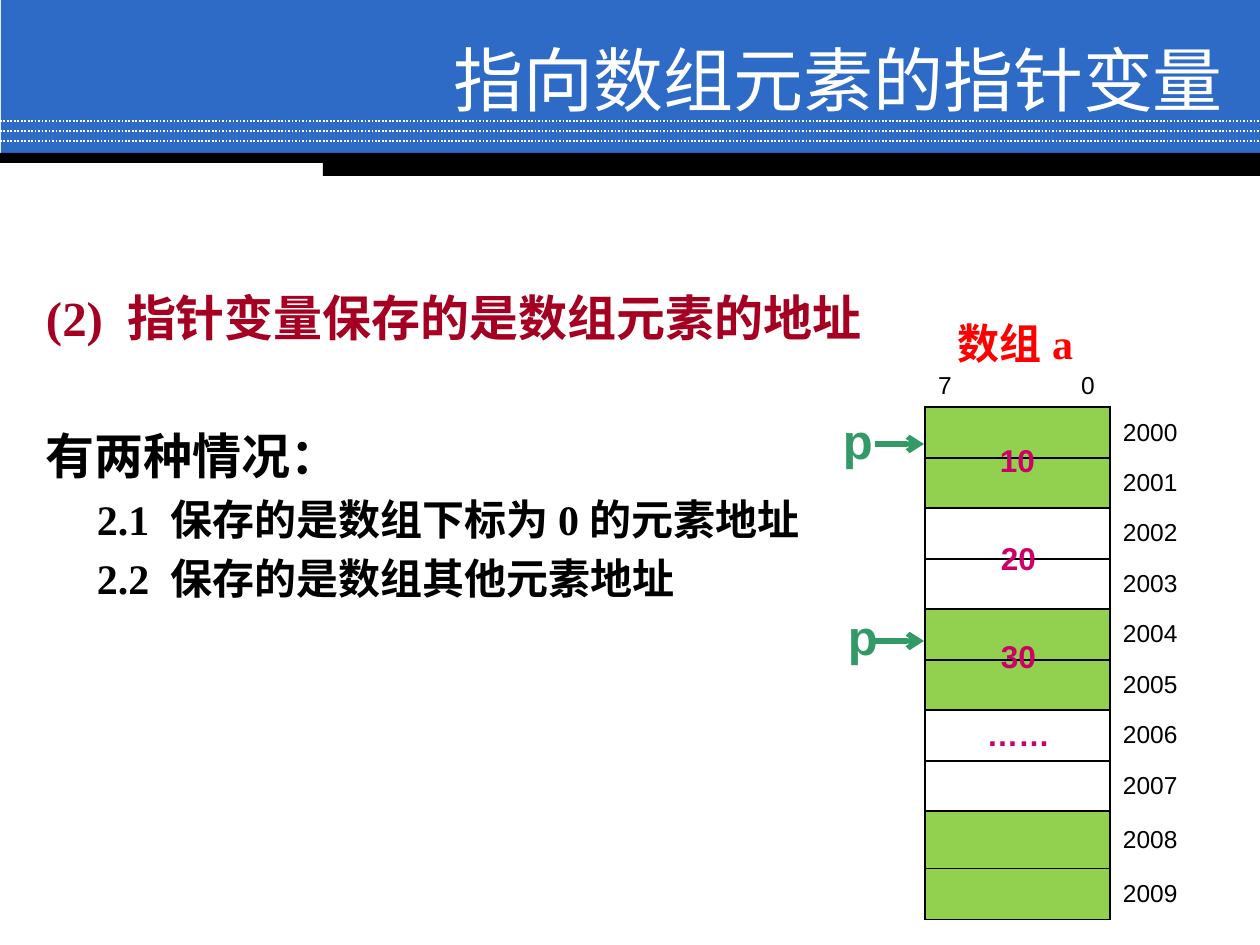
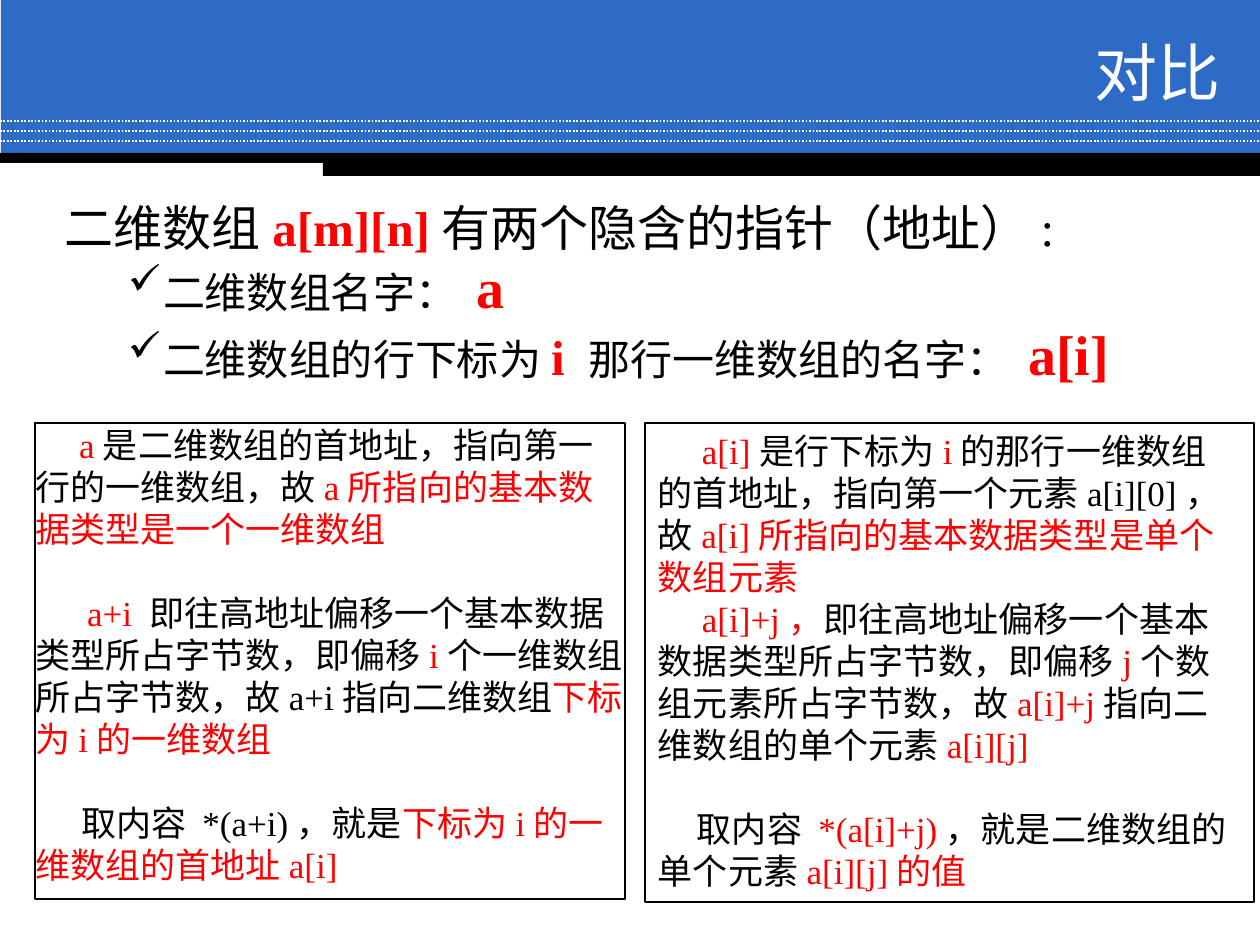
from lxml.etree import SubElement
from pptx import Presentation
from pptx.dml.color import RGBColor
from pptx.enum.dml import MSO_LINE
from pptx.enum.shapes import MSO_CONNECTOR, MSO_SHAPE
from pptx.enum.text import MSO_ANCHOR, MSO_AUTO_SIZE, PP_ALIGN
from pptx.oxml.ns import qn
from pptx.util import Emu, Pt

BLUE = RGBColor(0x2D, 0x6B, 0xC7)
BLACK = RGBColor(0, 0, 0)
WHITE = RGBColor(0xFF, 0xFF, 0xFF)
RED = RGBColor(0xFF, 0, 0)
CRIMSON = RGBColor(0xA5, 0, 0x21)
MAGENTA = RGBColor(0xCC, 0, 0x66)
GREEN = RGBColor(0x33, 0x99, 0x66)
LIME = RGBColor(0x92, 0xD0, 0x50)

SANS, SERIF, CJK = "Arial", "Times New Roman", "Noto Sans CJK SC"
PX_PER_INCH = 126
INSET = (13, 6, 13, 6)
LEADING = 1.2


def px(n):
    """Turn pixels into EMU."""
    return Emu(round(n * 914400 / PX_PER_INCH))


def place(sp, box):
    """Move a shape to a pixel box."""
    sp.left, sp.top, sp.width, sp.height = map(px, box)


def add_run(p, text, size=20, color=BLACK, bold=False, font=SERIF):
    """Add a formatted run to a paragraph."""
    r = p.add_run()
    r.text = text
    f = r.font
    f.size, f.bold, f.name = Pt(size), bold, font
    f.color.rgb = color
    SubElement(r._r.get_or_add_rPr(), qn("a:ea")).set("typeface", CJK)
    return r


def set_para(p, left=0, indent=0, line=None, before=0, bullet=None, align=PP_ALIGN.LEFT):
    """Set indents in pixels, spacing in points and the bullet."""
    p.alignment = align
    p.space_before = Pt(before)
    if line:
        p.line_spacing = Pt(line)
    pPr = p._p.get_or_add_pPr()
    pPr.set("marL", str(px(left)))
    pPr.set("indent", str(px(indent)))
    if bullet:
        SubElement(pPr, qn("a:buChar")).set("char", bullet)
    else:
        SubElement(pPr, qn("a:buNone"))


def set_frame(sp, inset=INSET, anchor=MSO_ANCHOR.TOP, wrap=True):
    """Prepare the text frame of a shape and return it."""
    tf = sp.text_frame
    tf.word_wrap = wrap
    tf.auto_size = MSO_AUTO_SIZE.NONE
    tf.vertical_anchor = anchor
    tf.margin_left, tf.margin_top, tf.margin_right, tf.margin_bottom = map(px, inset)
    return tf


def paragraphs(tf, count):
    """Return the given number of paragraphs of an empty frame."""
    return [tf.paragraphs[0]] + [tf.add_paragraph() for _ in range(count - 1)]


def add_label(s, box, text, line=None, **fmt):
    """Add a one-line text box."""
    sp = s.shapes.add_textbox(*map(px, box))
    p = set_frame(sp, wrap=False).paragraphs[0]
    set_para(p, line=line)
    add_run(p, text, **fmt)


def add_line(s, x1, y1, x2, y2, color, width):
    """Add a straight line without a shadow."""
    sp = s.shapes.add_connector(MSO_CONNECTOR.STRAIGHT, px(x1), px(y1), px(x2), px(y2))
    sp.line.color.rgb = color
    sp.line.width = Pt(width)
    SubElement(sp.element.spPr, qn("a:effectLst"))
    return sp


def add_band(s, box, color):
    """Add a plain filled rectangle."""
    sp = s.shapes.add_shape(MSO_SHAPE.RECTANGLE, *map(px, box))
    sp.shadow.inherit = False
    sp.fill.solid()
    sp.fill.fore_color.rgb = color
    sp.line.fill.background()
    return sp


def build_header(prs, s):
    """Draw the header bands and move them to the slide master."""
    parts = [add_band(s, (1, 0, 1259, 155), BLUE)]
    for y in (121, 131, 141):
        sp = add_line(s, 0, y, 1260, y, WHITE, 1)
        sp.line.dash_style = MSO_LINE.ROUND_DOT
        parts.append(sp)
    parts.append(add_band(s, (0, 153, 1260, 10), BLACK))
    parts.append(add_band(s, (323, 156, 937, 20), BLACK))
    tree = prs.slide_master.shapes.element
    for i, sp in enumerate(parts):
        sp.element.xpath(".//p:cNvPr")[0].set("id", str(100 + i))
        tree.insert(2 + i, sp.element)


def build_title(s, box, text, size):
    """Fill the title placeholder."""
    sp = s.shapes.title
    place(sp, box)
    p = set_frame(sp, anchor=MSO_ANCHOR.MIDDLE).paragraphs[0]
    set_para(p, align=PP_ALIGN.RIGHT)
    add_run(p, text, size=size, color=WHITE, font=CJK)


def build_cases(sp, box):
    """Fill the body with the cases of a pointer to an element."""
    place(sp, box)
    rows = [
        ("(2) 指针变量保存的是数组元素的地址", 28, CRIMSON, 12, 0),
        ("有两种情况：", 28, BLACK, 12, 45),
        ("2.1 保存的是数组下标为0的元素地址", 24, BLACK, 63, 5),
        ("2.2 保存的是数组其他元素地址", 24, BLACK, 63, 5),
    ]
    ps = paragraphs(set_frame(sp), len(rows))
    for p, (text, size, color, left, before) in zip(ps, rows):
        set_para(p, left=left, line=size * LEADING, before=before)
        add_run(p, text, size=size, color=color, bold=True)


def set_borders(cell, sides):
    """Draw the given sides (of LRTB) in black and hide the others."""
    tcPr = cell._tc.get_or_add_tcPr()
    for i, side in enumerate("LRTB"):
        ln = tcPr.makeelement(qn("a:ln" + side), {"w": str(Pt(1))})
        if side in sides:
            fill = SubElement(ln, qn("a:solidFill"))
            SubElement(fill, qn("a:srgbClr")).set("val", str(BLACK))
        else:
            SubElement(ln, qn("a:noFill"))
        tcPr.insert(i, ln)


def set_cell(cell, text, sides, fill=None):
    """Format one memory cell."""
    cell.vertical_anchor = MSO_ANCHOR.MIDDLE
    cell.margin_left = cell.margin_right = px(13)
    cell.margin_top = cell.margin_bottom = 0
    if fill:
        cell.fill.solid()
        cell.fill.fore_color.rgb = fill
    else:
        cell.fill.background()
    set_borders(cell, sides)
    if text:
        add_run(cell.text_frame.paragraphs[0], text, size=14, font=SANS)


def build_memory(s, x, y):
    """Draw the memory table of array a with its values and pointers."""
    heights = [42] + [51, 50] * 4 + [58, 51]
    tbl = s.shapes.add_table(len(heights), 2, px(x), px(y), px(335), px(sum(heights))).table
    tbl.first_row = tbl.horz_banding = False
    tbl.columns[0].width, tbl.columns[1].width = px(185), px(150)
    for row, height in zip(tbl.rows, heights):
        row.height = px(height)

    set_cell(tbl.cell(0, 0), "7\t0", "B")
    set_cell(tbl.cell(0, 1), "", "")
    pPr = tbl.cell(0, 0).text_frame.paragraphs[0]._p.get_or_add_pPr()
    tabs = SubElement(pPr, qn("a:tabLst"))
    SubElement(tabs, qn("a:tab"), pos=str(px(143)), algn="l")
    for i in range(10):
        set_cell(tbl.cell(i + 1, 0), "", "LRTB", LIME if i // 2 % 2 == 0 else None)
        set_cell(tbl.cell(i + 1, 1), str(2000 + i), "L")

    add_label(s, (x + 20, y - 53, 146, 63), "数组a", line=24 * LEADING,
              size=24, color=RED, bold=True)
    values = [("10", 62, 70), ("20", 63, 168), ("30", 63, 266), ("……", 49, 344)]
    for text, dx, dy in values:
        add_label(s, (x + dx, y + dy, 98, 50), text,
                  size=18, color=MAGENTA, bold=True, font=SANS)
    for dx, dy in ((-95, 39), (-90, 236)):
        add_label(s, (x + dx, y + dy, 52, 72), "p",
                  size=28, color=GREEN, bold=True, font=SANS)
        sp = add_line(s, x - 50, y + dy + 40, x - 1, y + dy + 40, GREEN, 3)
        SubElement(sp.line._get_or_add_ln(), qn("a:tailEnd")).set("type", "arrow")


def build_intro(s, box):
    """Add the statement on the two implied pointers."""
    sp = s.shapes.add_textbox(*map(px, box))
    first, name, row = paragraphs(set_frame(sp), 3)
    hot = {"color": RED, "bold": True}
    set_para(first, line=28 * LEADING)
    add_run(first, "二维数组", size=28)
    add_run(first, "a[m][n]", size=28, **hot)
    add_run(first, "有两个隐含的指针（地址）:", size=28)
    set_para(name, left=98, indent=-35, line=36, bullet="✓")
    add_run(name, "二维数组名字： ", size=24)
    add_run(name, "a", size=32, **hot)
    set_para(row, left=98, indent=-35, line=32 * LEADING, bullet="✓")
    add_run(row, "二维数组的行下标为", size=24)
    add_run(row, "i ", size=28, **hot)
    add_run(row, "那行一维数组的名字： ", size=24)
    add_run(row, "a[i]", size=32, **hot)


def build_panel(sp, box, inset, rows):
    """Fill a framed panel; the parts between bars are red."""
    place(sp, box)
    sp.line.color.rgb = BLACK
    sp.line.width = Pt(0.75)
    ps = paragraphs(set_frame(sp, inset), len(rows))
    for p, (indent, before, text) in zip(ps, rows):
        set_para(p, indent=indent, line=20 * LEADING, before=before)
        for i, part in enumerate(text.split("|")):
            if part:
                add_run(p, part, color=RED if i % 2 else BLACK)


def build_pointer_slide(s):
    """Build the slide on pointers to array elements."""
    build_title(s, (364, 42, 872, 73), "指向数组元素的指针变量", 40)
    build_cases(s.placeholders[1], (21, 282, 857, 374))
    build_memory(s, 925, 365)


def build_comparison_slide(s):
    """Build the slide that compares a and a[i]."""
    build_title(s, (362, 35, 872, 73), "对比", 36)
    build_intro(s, (52, 192, 1164, 222))
    build_panel(s.placeholders[1], (35, 423, 590, 476), (0, 0, 0, 0), [
        (44, 0, "|a|是二维数组的首地址，指向第一行的一维数组，故|a所指向的基本数据类型是一个一维数组|"),
        (52, 24, "|a+i |即往高地址偏移一个基本数据类型所占字节数，即偏移|i|个一维数组所占字节数，"
                 "故a+i指向二维数组|下标为i的一维数组|"),
        (46, 24, "取内容 *(a+i)，就是|下标为i的一维数组的首地址a[i]|"),
    ])
    build_panel(s.placeholders[2], (645, 423, 609, 479), INSET, [
        (44, 0, "|a[i]|是行下标为|i|的那行一维数组的首地址，指向第一个元素a[i][0]，故"
                "|a[i]所指向的基本数据类型是单个数组元素|"),
        (44, 0, "|a[i]+j，|即往高地址偏移一个基本数据类型所占字节数，即偏移|j|个数组元素所占字节数，"
                "故|a[i]+j|指向二维数组的单个元素|a[i][j]|"),
        (39, 24, "取内容 |*(a[i]+j)|，就是二维数组的单个元素|a[i][j]的值|"),
    ])


def main():
    """Build and save the presentation."""
    prs = Presentation()
    prs.slide_width, prs.slide_height = px(1260), px(945)
    pointer = prs.slides.add_slide(prs.slide_layouts[1])
    build_header(prs, pointer)
    build_pointer_slide(pointer)
    build_comparison_slide(prs.slides.add_slide(prs.slide_layouts[3]))
    prs.save("out.pptx")


if __name__ == "__main__":
    main()
